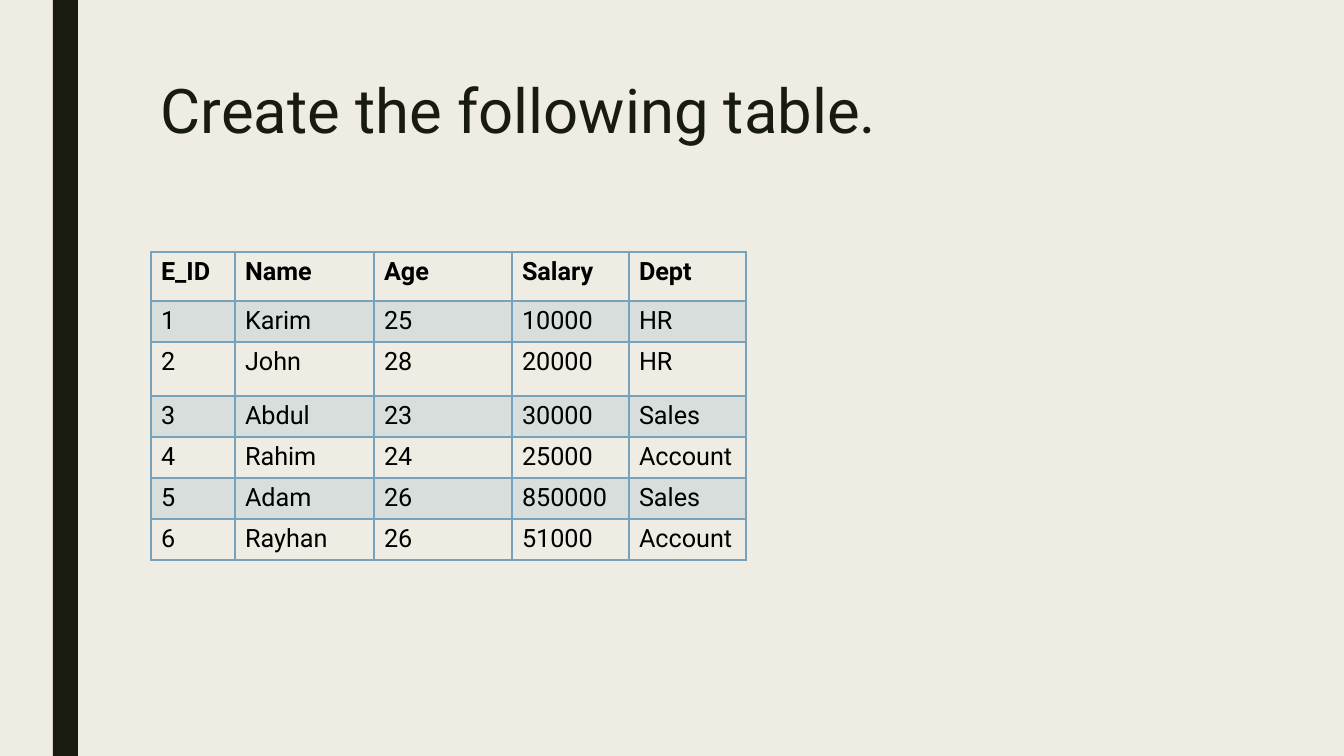
from dataclasses import dataclass

import lxml.etree
import pptx
import pptx.dml.color
import pptx.enum.shapes
import pptx.enum.text
import pptx.oxml
import pptx.oxml.ns
import pptx.presentation
import pptx.slide
import pptx.table
import pptx.text.text
import pptx.util

EMU_PER_PX = 914400 / 100.8
FONT = "Roboto"
CREAM, DARK, BLACK, BLUE = "EFEDE3", "191B0E", "000000", "77A2BB"
BAND_OPACITY = 20
TITLE = "Create the following table."
COLUMN_WIDTHS = [84, 139, 138, 117, 117]


@dataclass(frozen=True)
class EmployeeRow:
    height: int
    values: tuple[str, ...]


HEADER = EmployeeRow(49, ("E_ID", "Name", "Age", "Salary", "Dept"))
EMPLOYEES = [
    EmployeeRow(41, ("1", "Karim", "25", "10000", "HR")),
    EmployeeRow(54, ("2", "John", "28", "20000", "HR")),
    EmployeeRow(41, ("3", "Abdul", "23", "30000", "Sales")),
    EmployeeRow(41, ("4", "Rahim", "24", "25000", "Account")),
    EmployeeRow(41, ("5", "Adam", "26", "850000", "Sales")),
    EmployeeRow(41, ("6", "Rayhan", "26", "51000", "Account")),
]


def px(length: int) -> pptx.util.Emu:
    return pptx.util.Emu(round(length * EMU_PER_PX))


def rgb(colour: str) -> pptx.dml.color.RGBColor:
    return pptx.dml.color.RGBColor.from_string(colour)


def format_text(
    paragraph: pptx.text.text._Paragraph, size: int, colour: str, bold: bool = False
) -> None:
    for run in paragraph.runs:
        run.font.name = FONT
        run.font.size = pptx.util.Pt(size)
        run.font.bold = bold
        run.font.color.rgb = rgb(colour)


def add_side_bar(slide: pptx.slide.Slide) -> None:
    bar = slide.shapes.add_shape(
        pptx.enum.shapes.MSO_SHAPE.RECTANGLE, px(53), px(0), px(25), px(756)
    )
    bar.shadow.inherit = False
    bar.fill.solid()
    bar.fill.fore_color.rgb = rgb(DARK)
    bar.line.fill.background()


def add_title(slide: pptx.slide.Slide) -> None:
    title = slide.shapes.add_textbox(px(151), px(76), px(1058), px(163)).text_frame
    title.word_wrap = True
    title.vertical_anchor = pptx.enum.text.MSO_ANCHOR.TOP
    title.text = TITLE
    title.paragraphs[0].line_spacing = 0.89
    format_text(title.paragraphs[0], 44, DARK)


def set_borders(cell: pptx.table._Cell, top: int, bottom: int) -> None:
    """Draw all four cell edges; widths are in points."""
    properties = cell._tc.get_or_add_tcPr()
    for side, width in {"L": 1, "R": 1, "T": top, "B": bottom}.items():
        edge = lxml.etree.SubElement(
            properties,
            pptx.oxml.ns.qn(f"a:ln{side}"),
            w=str(pptx.util.Pt(width)),
        )
        fill = lxml.etree.SubElement(edge, pptx.oxml.ns.qn("a:solidFill"))
        lxml.etree.SubElement(fill, pptx.oxml.ns.qn("a:srgbClr"), val=BLUE)


def set_band_fill(cell: pptx.table._Cell) -> None:
    cell.fill.solid()
    cell.fill.fore_color.rgb = rgb(BLUE)
    band = cell._tc.tcPr.find(pptx.oxml.ns.qn("a:solidFill"))
    lxml.etree.SubElement(
        band[0], pptx.oxml.ns.qn("a:alpha"), val=str(BAND_OPACITY * 1000)
    )


def add_employee_table(slide: pptx.slide.Slide) -> None:
    rows = [HEADER, *EMPLOYEES]
    employees = slide.shapes.add_table(
        len(rows),
        len(COLUMN_WIDTHS),
        px(151),
        px(252),
        px(sum(COLUMN_WIDTHS)),
        px(sum(row.height for row in rows)),
    ).table
    employees.first_row = False
    employees.horz_banding = False
    for column, width in zip(employees.columns, COLUMN_WIDTHS):
        column.width = px(width)
    for row_index, row in enumerate(rows):
        employees.rows[row_index].height = px(row.height)
        for column_index, value in enumerate(row.values):
            cell = employees.cell(row_index, column_index)
            cell.text_frame.text = value
            format_text(cell.text_frame.paragraphs[0], 18, BLACK, row is HEADER)
            set_borders(
                cell,
                top=2 if row_index == 1 else 1,
                bottom=2 if row is HEADER else 1,
            )
            if row_index % 2:
                set_band_fill(cell)
            else:
                cell.fill.background()


def main() -> None:
    presentation = pptx.Presentation()
    presentation.slide_width = px(1344)
    presentation.slide_height = px(756)
    slide = presentation.slides.add_slide(presentation.slide_layouts[6])
    slide.background.fill.solid()
    slide.background.fill.fore_color.rgb = rgb(CREAM)
    add_side_bar(slide)
    add_title(slide)
    add_employee_table(slide)
    presentation.save("out.pptx")


if __name__ == "__main__":
    main()
